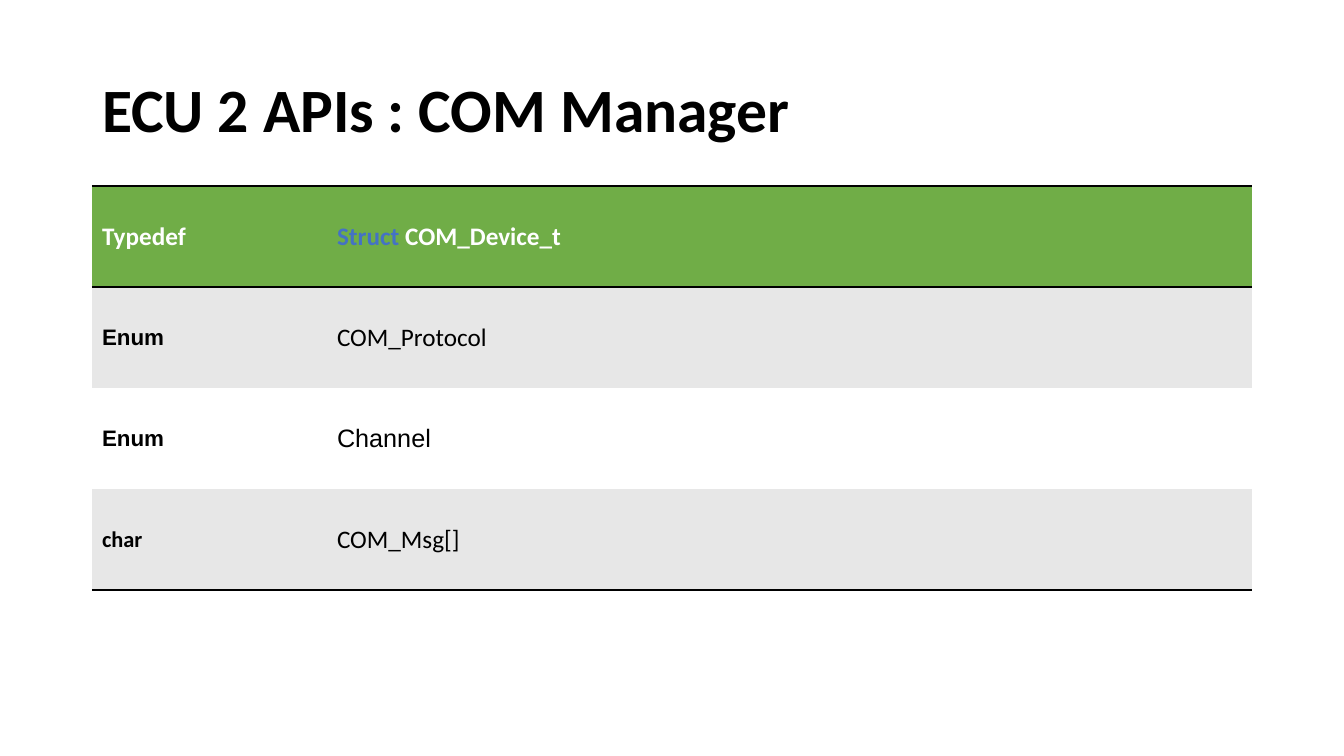
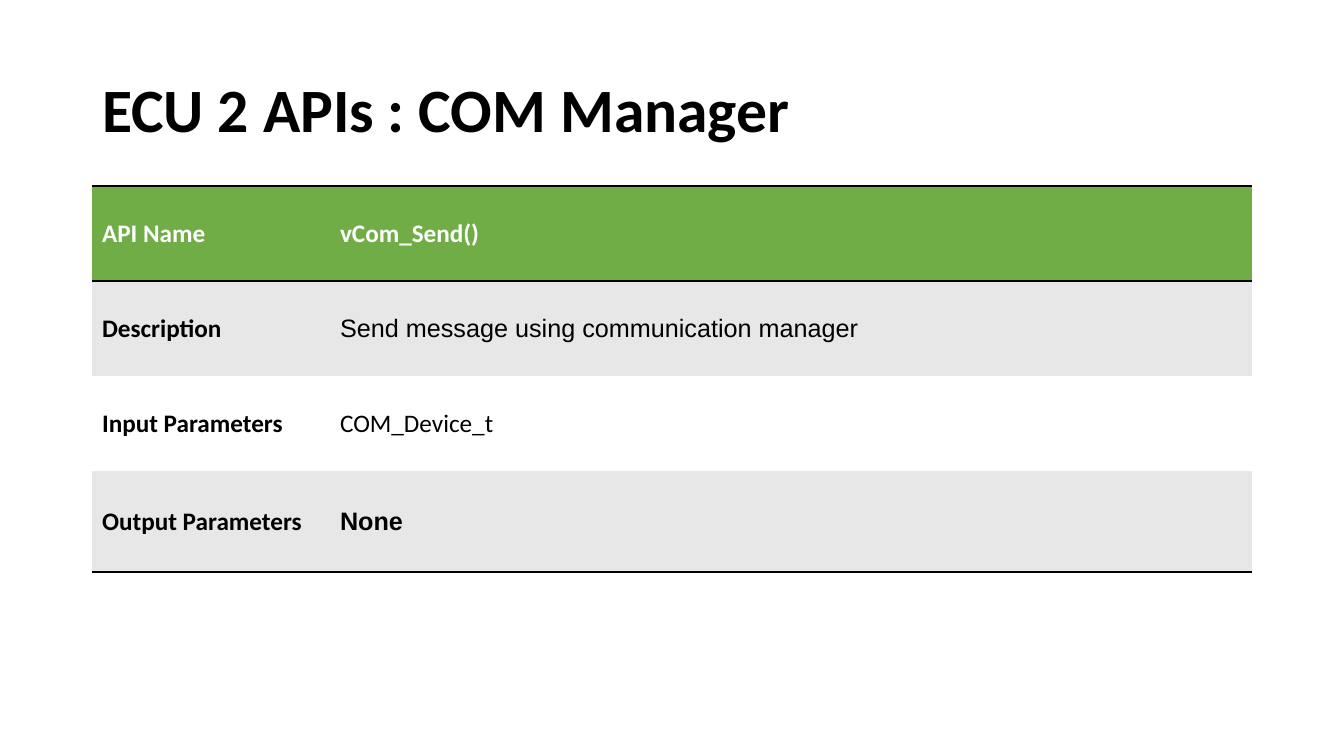
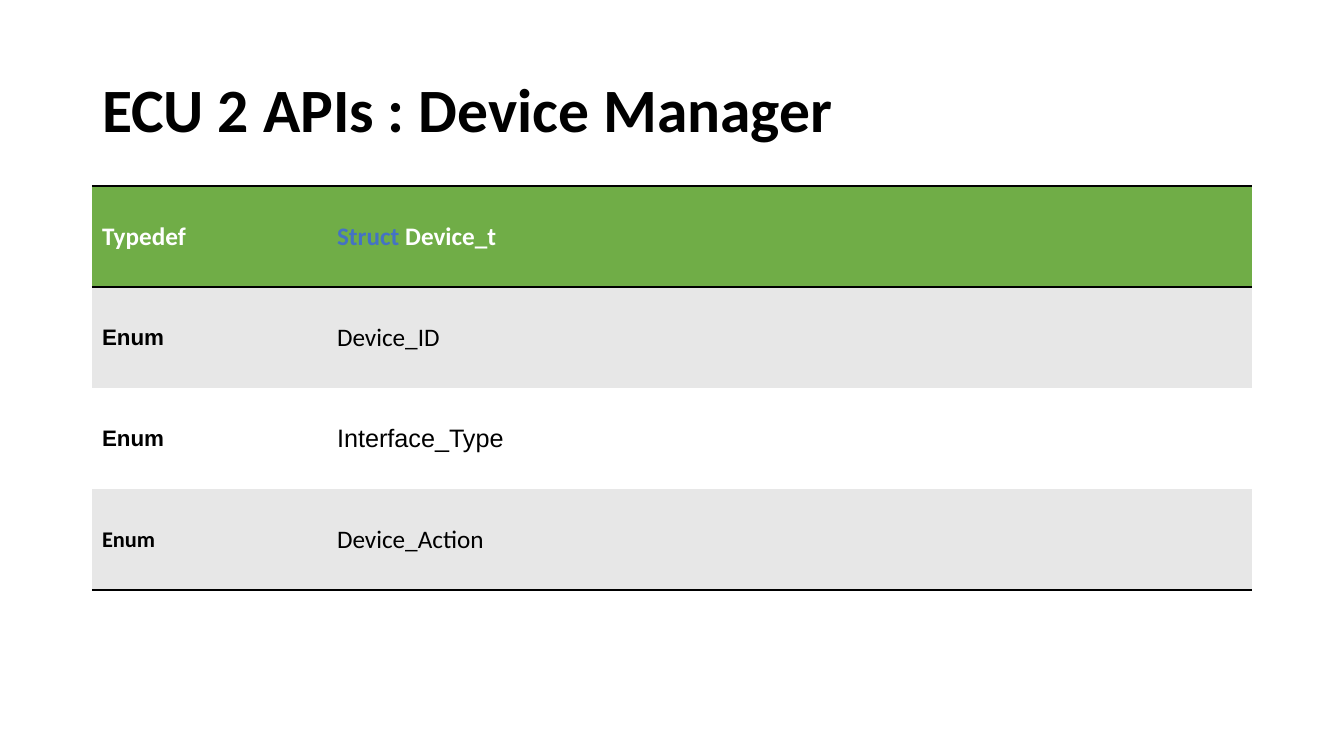
"""Build three slides of ECU 2 API reference tables."""
from lxml.etree import SubElement
from pptx import Presentation
from pptx.dml.color import RGBColor
from pptx.enum.text import MSO_ANCHOR, PP_ALIGN
from pptx.oxml.ns import qn
from pptx.util import Emu, Pt

COLORS = {
    "text": "000000",
    "rule": "000000",
    "header": "70AD47",
    "header_text": "FFFFFF",
    "keyword": "4472C4",
    "band": "E7E7E7",
    "plain": "FFFFFF",
}
RULE_WIDTH = Pt(2)
LEFT, WIDTH = 92, 1160
TITLE_TOP, TITLE_HEIGHT = 40, 146
TABLE_TOP = TITLE_TOP + TITLE_HEIGHT

SLIDES = [
    {
        "title": "ECU 2 APIs : COM Manager",
        "label_width": 235,
        "label_size": 16,
        "row_heights": [101, 101, 101, 101],
        "header": ("Typedef", "Struct ", "COM_Device_t"),
        "rows": [
            ("Enum", "Arial", "COM_Protocol", "Calibri", False),
            ("Enum", "Arial", "Channel", "Arial", False),
            ("char", "Calibri", "COM_Msg[]", "Calibri", False),
        ],
    },
    {
        "title": "ECU 2 APIs : COM Manager",
        "label_width": 238,
        "label_size": 18,
        "row_heights": [95, 95, 95, 101],
        "header": ("API Name", "", "vCom_Send()"),
        "rows": [
            ("Description", "Calibri", "Send message using communication manager", "Arial", False),
            ("Input Parameters", "Calibri", "COM_Device_t", "Calibri", False),
            ("Output Parameters", "Calibri", "None", "Arial", True),
        ],
    },
    {
        "title": "ECU 2 APIs : Device Manager",
        "label_width": 235,
        "label_size": 16,
        "row_heights": [101, 101, 101, 101],
        "header": ("Typedef", "Struct ", "Device_t"),
        "rows": [
            ("Enum", "Arial", "Device_ID", "Calibri", False),
            ("Enum", "Arial", "Interface_Type", "Arial", False),
            ("Enum", "Calibri", "Device_Action", "Calibri", False),
        ],
    },
]


def px(length):
    return Emu(round(length * 914400 / 100.8))


def write_cell(cell, runs, font_name, size, bold, fill, ruled_sides):
    for side in ("lnL", "lnR", "lnT", "lnB"):
        border = SubElement(cell._tc.get_or_add_tcPr(), qn(f"a:{side}"))
        if side in ruled_sides:
            border.set("w", str(RULE_WIDTH))
            color = SubElement(SubElement(border, qn("a:solidFill")), qn("a:srgbClr"))
            color.set("val", COLORS["rule"])
        else:
            border.set("w", "0")
            SubElement(border, qn("a:noFill"))
    cell.fill.solid()
    cell.fill.fore_color.rgb = RGBColor.from_string(COLORS[fill])
    cell.vertical_anchor = MSO_ANCHOR.MIDDLE
    paragraph = cell.text_frame.paragraphs[0]
    paragraph.font.name = font_name
    paragraph.font.size = Pt(size)
    paragraph.font.bold = bold
    for text, color_name in runs:
        run = paragraph.add_run()
        run.text = text
        run.font.color.rgb = RGBColor.from_string(COLORS[color_name])


deck = Presentation()
deck.slide_width, deck.slide_height = px(1344), px(756)

for content in SLIDES:
    slide = deck.slides.add_slide(deck.slide_layouts[5])
    title = slide.shapes.title
    title.left, title.top = px(LEFT), px(TITLE_TOP)
    title.width, title.height = px(WIDTH), px(TITLE_HEIGHT)
    title.text_frame.text = content["title"]
    title.text_frame.vertical_anchor = MSO_ANCHOR.MIDDLE
    heading = title.text_frame.paragraphs[0]
    heading.alignment = PP_ALIGN.LEFT
    heading.line_spacing = 0.9
    heading.font.name = "Calibri"
    heading.font.size = Pt(44)
    heading.font.bold = True
    heading.font.color.rgb = RGBColor.from_string(COLORS["text"])

    heights = content["row_heights"]
    api = slide.shapes.add_table(
        len(heights), 2, px(LEFT), px(TABLE_TOP), px(WIDTH), px(sum(heights))
    ).table
    api.first_row = api.horz_banding = False
    api.columns[0].width = px(content["label_width"])
    api.columns[1].width = px(WIDTH - content["label_width"])
    for row, height in zip(api.rows, heights):
        row.height = px(height)

    label, keyword, name = content["header"]
    name_runs = [(keyword, "keyword")] if keyword else []
    name_runs.append((name, "header_text"))
    for column, runs in enumerate([[(label, "header_text")], name_runs]):
        write_cell(api.cell(0, column), runs, "Calibri", 18, True, "header", ("lnT", "lnB"))

    for index, (label, label_font, value, value_font, value_bold) in enumerate(content["rows"], 1):
        fill = "band" if index % 2 else "plain"
        ruled_sides = [
            side
            for side, ruled in (("lnT", index == 1), ("lnB", index == len(content["rows"])))
            if ruled
        ]
        write_cell(api.cell(index, 0), [(label, "text")], label_font,
                   content["label_size"], True, fill, ruled_sides)
        write_cell(api.cell(index, 1), [(value, "text")], value_font,
                   18, value_bold, fill, ruled_sides)

deck.save("out.pptx")
